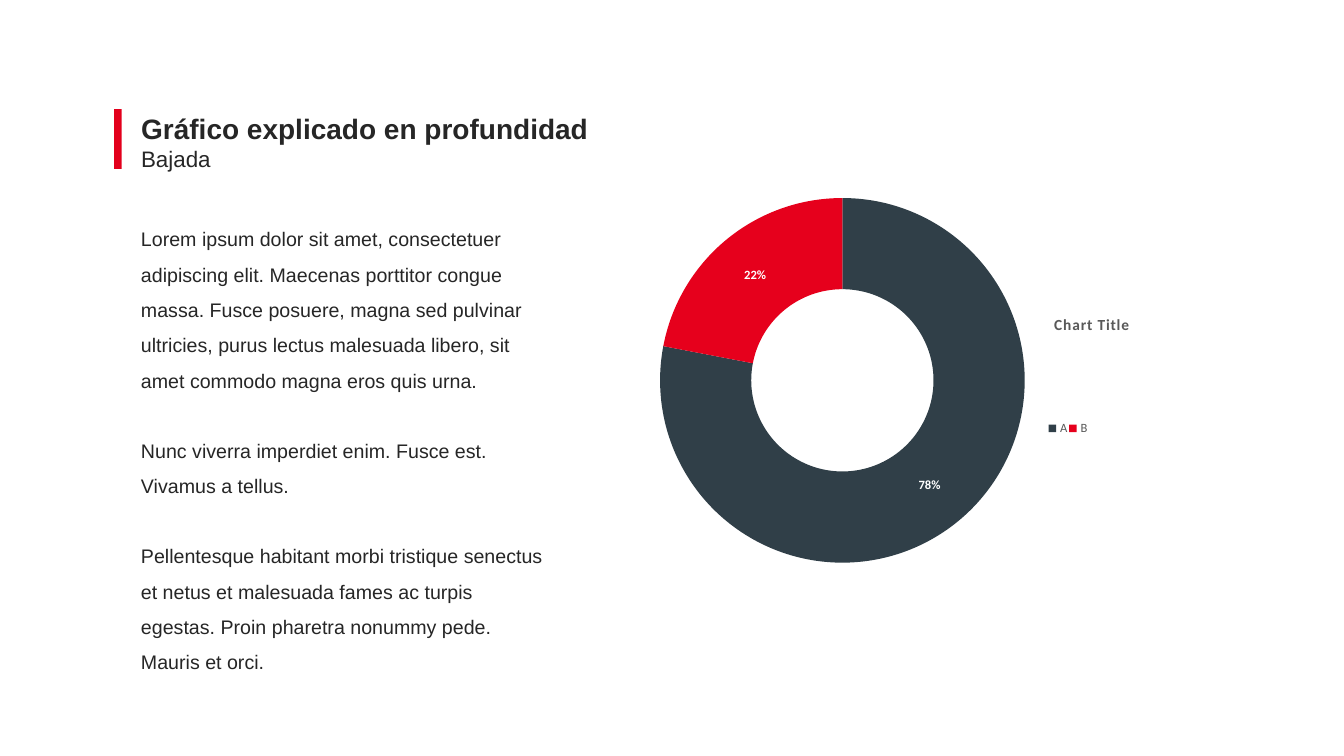
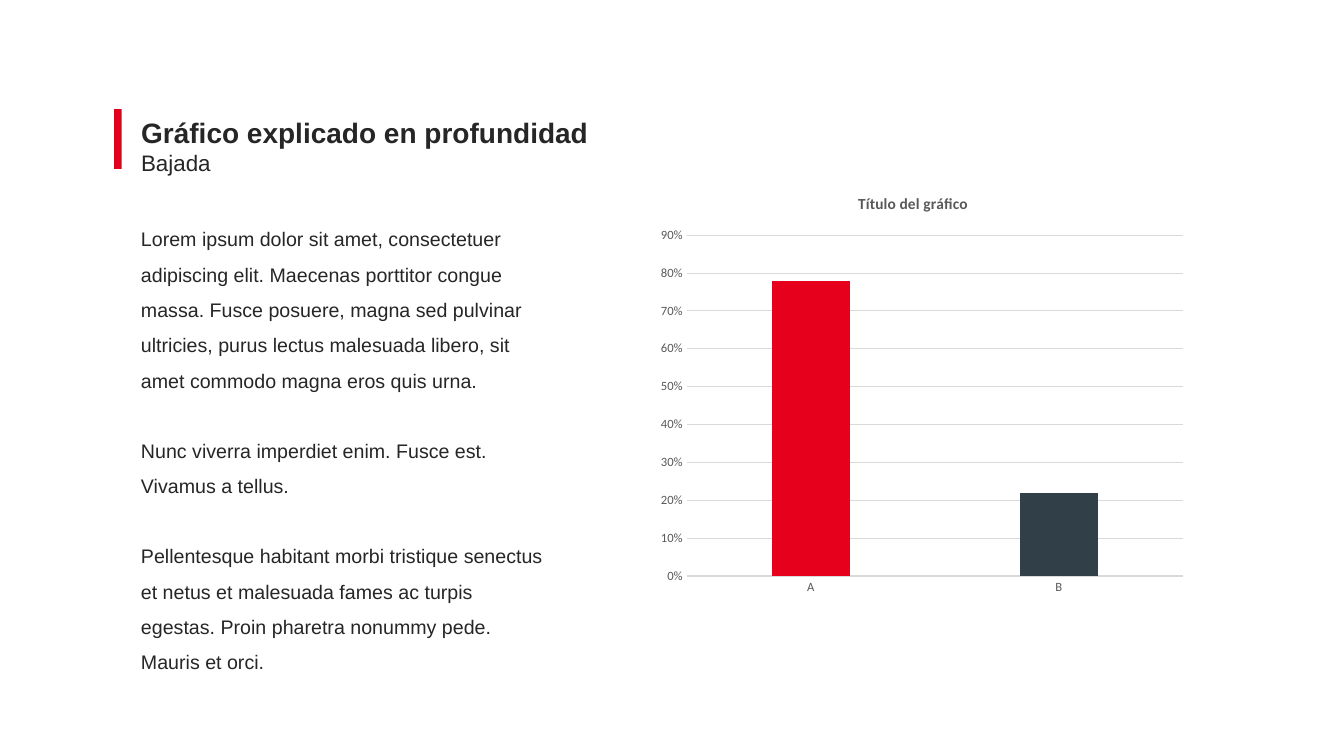
from dataclasses import dataclass

from lxml import etree
from pptx import Presentation
from pptx.chart.data import CategoryChartData
from pptx.dml.color import RGBColor as RGB
from pptx.enum.chart import XL_CHART_TYPE as ChartType
from pptx.enum.chart import XL_LEGEND_POSITION as LegendPosition
from pptx.enum.chart import XL_TICK_MARK as TickMark
from pptx.enum.shapes import MSO_SHAPE as Shape
from pptx.enum.text import MSO_ANCHOR as Anchor
from pptx.enum.text import MSO_AUTO_SIZE as AutoSize
from pptx.enum.text import PP_ALIGN as Align
from pptx.oxml.ns import qn
from pptx.util import Pt


@dataclass(frozen=True)
class Theme:
    accent: RGB = RGB(0xE3, 0x00, 0x1C)
    red: RGB = RGB(0xE6, 0x00, 0x1C)
    slate: RGB = RGB(0x30, 0x3F, 0x48)
    ink: RGB = RGB(0x26, 0x26, 0x26)
    label: RGB = RGB(0x59, 0x59, 0x59)
    grid: RGB = RGB(0xD9, 0xD9, 0xD9)
    white: RGB = RGB(0xFF, 0xFF, 0xFF)
    text_font: str = "Arial"
    chart_font: str = "Calibri"
    title_size: Pt = Pt(20)
    subtitle_size: Pt = Pt(16)
    body_size: Pt = Pt(14)
    chart_title_size: Pt = Pt(11)
    label_size: Pt = Pt(9)


THEME = Theme()
TITLE = "Gráfico explicado en profundidad"
SUBTITLE = "Bajada"
BODY = [
    "Lorem ipsum dolor sit amet, consectetuer adipiscing elit. Maecenas porttitor "
    "congue massa. Fusce posuere, magna sed pulvinar ultricies, purus lectus "
    "malesuada libero, sit amet commodo magna eros quis urna.",
    "Nunc viverra imperdiet enim. Fusce est. Vivamus a tellus.",
    "Pellentesque habitant morbi tristique senectus et netus et malesuada fames ac "
    "turpis egestas. Proin pharetra nonummy pede. Mauris et orci.",
]
TITLE_TOPS = [Pt(64), Pt(67)]
TEXT_LEFT = Pt(93.6)


def set_font(font, size, color, name, bold=False):
    font.size, font.bold, font.name = size, bold, name
    font.color.rgb = color


def place_in_chart(part, index, frame, left, top, width=None, height=None):
    """Give a chart part a fixed place, stated in slide lengths."""
    for old in part.findall(qn("c:layout")):
        part.remove(old)
    layout = etree.Element(qn("c:layout"))
    part.insert(index, layout)
    manual = etree.SubElement(layout, qn("c:manualLayout"))
    settings = {"xMode": "edge", "yMode": "edge",
                "x": (left - frame.left) / frame.width,
                "y": (top - frame.top) / frame.height}
    if part.tag == qn("c:plotArea"):
        settings = {"layoutTarget": "inner"} | settings
    if width is not None:
        settings |= {"w": width / frame.width, "h": height / frame.height}
    for key, value in settings.items():
        etree.SubElement(manual, qn(f"c:{key}")).set("val", str(value))


prs = Presentation()
prs.slide_width, prs.slide_height = Pt(960), Pt(540)

# Heading and explanation shared by both slides
slides = []
for title_top in TITLE_TOPS:
    slide = prs.slides.add_slide(prs.slide_layouts[5])
    slides.append(slide)

    accent_bar = slide.shapes.add_shape(
        Shape.RECTANGLE, Pt(81.5), Pt(78), Pt(5.4), Pt(42.6))
    accent_bar.shadow.inherit = False
    accent_bar.fill.solid()
    accent_bar.fill.fore_color.rgb = THEME.accent
    accent_bar.line.fill.background()

    heading = slide.shapes.title
    heading.left, heading.top = TEXT_LEFT, title_top
    heading.width, heading.height = Pt(360), Pt(63.4)
    explanation = slide.shapes.add_textbox(TEXT_LEFT, Pt(150.5), Pt(303), Pt(386))
    for box, texts in ((heading, [TITLE, SUBTITLE]), (explanation, BODY)):
        frame = box.text_frame
        frame.word_wrap = True
        frame.auto_size = AutoSize.NONE
        frame.vertical_anchor = Anchor.TOP
        frame.text = "\n".join(texts)
        for paragraph in frame.paragraphs:
            paragraph.alignment = Align.LEFT
            paragraph.line_spacing = 1.5
            set_font(paragraph.font, THEME.body_size, THEME.ink, THEME.text_font)

    title_line, subtitle_line = heading.text_frame.paragraphs
    title_line.font.size, title_line.font.bold = THEME.title_size, True
    subtitle_line.font.size = THEME.subtitle_size
    subtitle_line.line_spacing = 1.0
    for paragraph in explanation.text_frame.paragraphs[1:]:
        paragraph.space_before = Pt(25)

# Charts: slide, type, title, values, colours, frame, title place, plot place
chart_specs = [
    (slides[0], ChartType.DOUGHNUT, "Chart Title", (78, 22), "General",
     (THEME.slate, THEME.red), (Pt(325), Pt(80), Pt(554), Pt(333)),
     (Pt(751), Pt(222)), (Pt(471.5), Pt(141.5), Pt(260.5), Pt(260.5))),
    (slides[1], ChartType.COLUMN_CLUSTERED, "Título del gráfico", (0.78, 0.22), "0%",
     (THEME.red, THEME.slate), (Pt(464.5), Pt(126.5), Pt(389), Pt(304.5)),
     (Pt(611), Pt(136)), (Pt(490.5), Pt(168), Pt(354.5), Pt(243.5))),
]
frames = []
for (slide, kind, title, values, number_format, colors,
     bounds, title_place, plot_place) in chart_specs:
    data = CategoryChartData(number_format=number_format)
    data.categories = ["A", "B"]
    data.add_series("Series 1", values)
    frame = slide.shapes.add_chart(kind, *bounds, data)
    frames.append(frame)
    chart = frame.chart
    set_font(chart.font, THEME.label_size, THEME.label, THEME.chart_font)

    chart.has_title = True
    chart_title = chart.chart_title
    chart_title.include_in_layout = False
    chart_title.text_frame.text = title
    set_font(chart_title.text_frame.paragraphs[0].font, THEME.chart_title_size,
             THEME.label, THEME.chart_font, bold=True)
    place_in_chart(chart_title._element, 1, frame, *title_place)
    place_in_chart(chart._chartSpace.chart.plotArea, 0, frame, *plot_place)

    chart.has_legend = False
    for index, color in enumerate(colors):
        point = chart.plots[0].series[0].points[index]
        point.format.fill.solid()
        point.format.fill.fore_color.rgb = color
        point.format.line.fill.background()

# Doughnut: percentages, legend, hole and wide-set title
doughnut = frames[0].chart
shares = doughnut.plots[0]
shares.vary_by_categories = True
shares.has_data_labels = True
labels = shares.data_labels
labels.show_percentage, labels.show_value = True, False
labels.number_format, labels.number_format_is_linked = "0%", False
set_font(labels.font, THEME.label_size, THEME.white, THEME.chart_font, bold=True)
shares._element.find(qn("c:holeSize")).set("val", "39")
title_font = doughnut.chart_title.text_frame.paragraphs[0].font
title_font._element.set("spc", "50")

doughnut.has_legend = True
doughnut.legend.position = LegendPosition.RIGHT
doughnut.legend.include_in_layout = False
set_font(doughnut.legend.font, THEME.label_size, THEME.label, THEME.chart_font)
place_in_chart(doughnut.legend._element, 1, frames[0],
               Pt(748), Pt(263), Pt(30), Pt(86))

# Columns: spacing, axes and gridlines
column_chart = frames[1].chart
columns = column_chart.plots[0]
columns.vary_by_categories = False
columns.gap_width, columns.overlap = 219, -27
columns.series[0].invert_if_negative = False
category_axis, value_axis = column_chart.category_axis, column_chart.value_axis
for axis in (category_axis, value_axis):
    axis.major_tick_mark = axis.minor_tick_mark = TickMark.NONE
    set_font(axis.tick_labels.font, THEME.label_size, THEME.label, THEME.chart_font)
value_axis.minimum_scale, value_axis.maximum_scale = 0, 0.9
value_axis.major_unit = 0.1
value_axis.tick_labels.number_format = "0%"
value_axis.tick_labels.number_format_is_linked = False
value_axis.has_major_gridlines = True
value_axis.format.line.fill.background()
for line in (category_axis.format.line, value_axis.major_gridlines.format.line):
    line.color.rgb = THEME.grid
    line.width = Pt(0.75)

prs.save("out.pptx")
